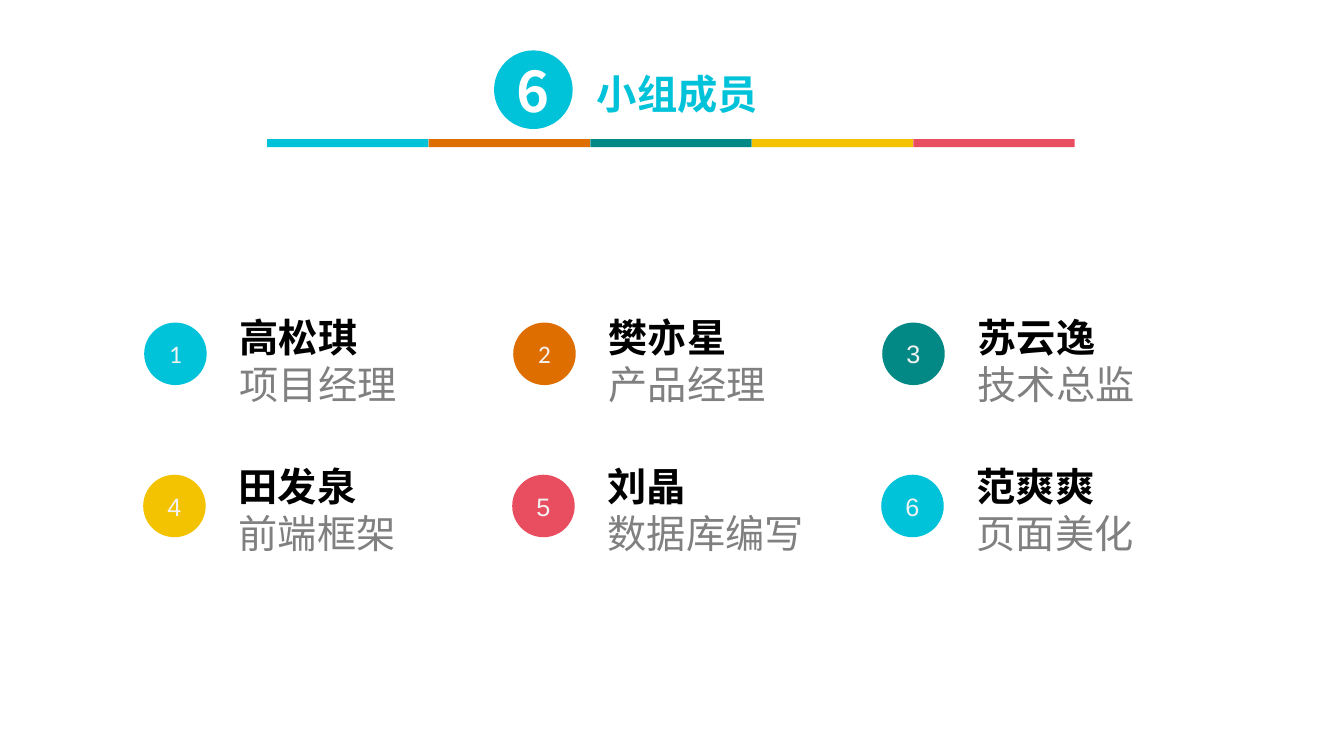
from dataclasses import dataclass

from lxml.etree import SubElement
from pptx import Presentation
from pptx.dml.color import RGBColor as Rgb
from pptx.enum.shapes import MSO_SHAPE as Preset
from pptx.enum.text import MSO_ANCHOR as Anchor, MSO_AUTO_SIZE as AutoSize, PP_ALIGN as Align
from pptx.oxml.ns import qn
from pptx.shapes.autoshape import Shape
from pptx.slide import Slide
from pptx.text.text import _Paragraph as Paragraph
from pptx.util import Inches, Pt


@dataclass(frozen=True)
class Theme:
    cyan: str = "00C3D9"
    orange: str = "DE6E00"
    teal: str = "028985"
    yellow: str = "F3C301"
    red: str = "E94E60"
    white: str = "FFFFFF"
    pale: str = "F2F2F2"
    black: str = "000000"
    gray: str = "808080"
    cjk_font: str = "Noto Sans CJK SC"
    section_size: int = 40
    title_size: int = 36
    member_size: int = 28
    badge_size: int = 18

    @property
    def sequence(self) -> tuple[str, ...]:
        return self.cyan, self.orange, self.teal, self.yellow, self.red


@dataclass(frozen=True)
class Box:
    left: float
    top: float
    width: float
    height: float

    def place(self, shape: Shape) -> None:
        shape.left, shape.top = Inches(self.left), Inches(self.top)
        shape.width, shape.height = Inches(self.width), Inches(self.height)


@dataclass(frozen=True)
class Grid:
    """Evenly pitched cells; each row starts row_shift further along."""
    left: float
    top: float
    column_pitch: float
    row_pitch: float
    row_shift: float = 0

    def cell(self, column: int, row: int, width: float, height: float) -> Box:
        return Box(self.left + column * self.column_pitch + row * self.row_shift,
                   self.top + row * self.row_pitch, width, height)


@dataclass(frozen=True)
class Member:
    name: str
    role: str
    badge_font: str = "Arial"
    label_width: float = 2.64


THEME = Theme()
SLIDE_WIDTH, SLIDE_HEIGHT = 13.33, 7.5
COLUMNS = 3
BADGE_SIDE = 0.62
BADGE_GRID = Grid(1.43, 3.2, 3.66, 1.51, -0.01)
LABEL_GRID = Grid(2.28, 3.06, 3.66, 1.48, -0.01)
STRIPE_GRID = Grid(2.65, 1.38, 1.6025, 0)
ROW_FONTS = "Open Sans", "Calibri"
MEMBERS = (
    Member("高松琪", "项目经理", "Calibri", 2.79),
    Member("樊亦星", "产品经理", "Calibri"),
    Member("苏云逸", "技术总监"),
    Member("田发泉", "前端框架"),
    Member("刘晶", "数据库编写"),
    Member("范爽爽", "页面美化"),
)


def write(paragraph: Paragraph, text: str, font_name: str, size: int, color: str,
          bold: bool = False) -> None:
    paragraph.text = text
    font = paragraph.font
    font.name, font.size, font.bold = font_name, Pt(size), bold
    font.color.rgb = Rgb.from_string(color)
    run_properties = paragraph.runs[0]._r.get_or_add_rPr()
    SubElement(run_properties, qn("a:ea")).set("typeface", THEME.cjk_font)


def add_block(slide: Slide, preset: Preset, box: Box, color: str) -> Shape:
    """Add a flat filled shape without outline or shadow."""
    block = slide.shapes.add_shape(preset, 0, 0, 0, 0)
    box.place(block)
    block.shadow.inherit = False
    block.fill.solid()
    block.fill.fore_color.rgb = Rgb.from_string(color)
    block.line.fill.background()
    return block


def add_badge(slide: Slide, box: Box, color: str, number: int, font_name: str,
              size: int, text_color: str, bold: bool = False) -> None:
    frame = add_block(slide, Preset.OVAL, box, color).text_frame
    frame.vertical_anchor = Anchor.MIDDLE
    frame.word_wrap = True
    frame.margin_left = frame.margin_right = 0
    paragraph = frame.paragraphs[0]
    paragraph.alignment = Align.CENTER
    write(paragraph, str(number), font_name, size, text_color, bold)


def add_header(slide: Slide) -> None:
    title = slide.shapes.title
    Box(5.84, 0.55, 2.88, 0.68).place(title)
    frame = title.text_frame
    frame.auto_size = AutoSize.NONE
    frame.word_wrap = True
    frame.vertical_anchor = Anchor.TOP
    frame.margin_left = frame.margin_right = Inches(0.08)
    frame.margin_top = frame.margin_bottom = Inches(0.04)
    heading = frame.paragraphs[0]
    heading.alignment = Align.LEFT
    write(heading, "小组成员", THEME.cjk_font, THEME.title_size, THEME.cyan, True)
    heading.runs[0]._r.get_or_add_rPr().set("cap", "small")

    add_badge(slide, Box(4.9, 0.5, 0.78, 0.78), THEME.cyan, 6, THEME.cjk_font,
              THEME.section_size, THEME.white, True)
    for column, color in enumerate(THEME.sequence):
        add_block(slide, Preset.RECTANGLE, STRIPE_GRID.cell(column, 0, 1.6, 0.08), color)


def add_member(slide: Slide, index: int, member: Member) -> None:
    row, column = divmod(index, COLUMNS)
    color = THEME.sequence[index % len(THEME.sequence)]
    add_badge(slide, BADGE_GRID.cell(column, row, BADGE_SIDE, BADGE_SIDE), color,
              index + 1, member.badge_font, THEME.badge_size, THEME.pale)

    label = slide.shapes.add_textbox(0, 0, 0, 0)
    LABEL_GRID.cell(column, row, member.label_width, 1.04).place(label)
    frame = label.text_frame
    frame.word_wrap = True
    font_name = ROW_FONTS[row]
    write(frame.paragraphs[0], member.name, font_name, THEME.member_size, THEME.black, True)
    write(frame.add_paragraph(), member.role, font_name, THEME.member_size, THEME.gray)


def main() -> None:
    deck = Presentation()
    deck.slide_width, deck.slide_height = Inches(SLIDE_WIDTH), Inches(SLIDE_HEIGHT)
    title_only = deck.slide_layouts[5]
    slide = deck.slides.add_slide(title_only)
    add_header(slide)
    for index, member in enumerate(MEMBERS):
        add_member(slide, index, member)
    deck.save("out.pptx")


if __name__ == "__main__":
    main()
